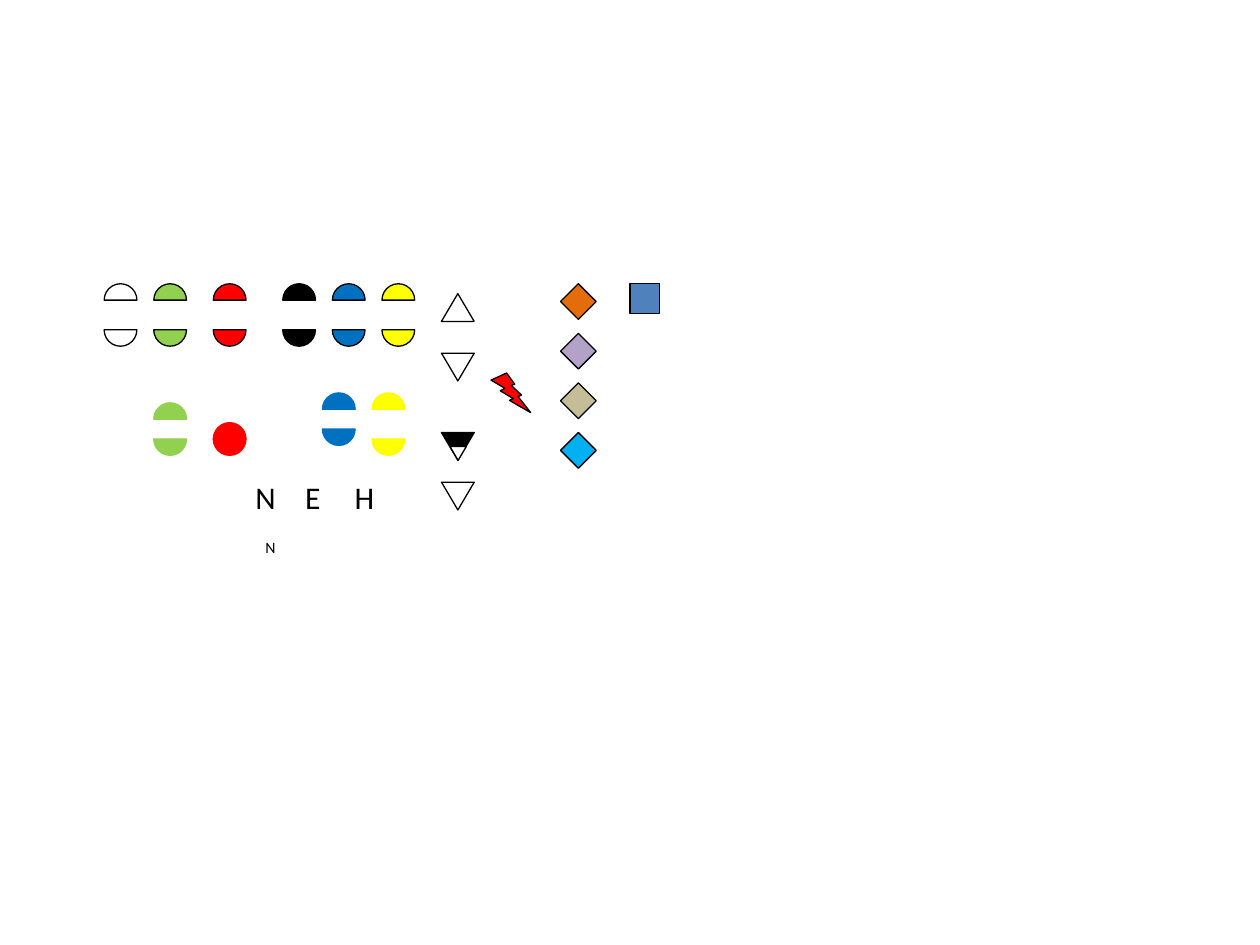
"""Build a slide of map symbols: half circles, triangles, diamonds and letters."""
from dataclasses import dataclass
from typing import Optional

from pptx import Presentation
from pptx.dml.color import RGBColor
from pptx.enum.shapes import MSO_SHAPE
from pptx.enum.text import MSO_AUTO_SIZE
from pptx.util import Cm, Pt

CHORD = MSO_SHAPE.CHORD
TRIANGLE = MSO_SHAPE.ISOSCELES_TRIANGLE
DIAMOND = MSO_SHAPE.DIAMOND
BOLT = MSO_SHAPE.LIGHTNING_BOLT
SQUARE = MSO_SHAPE.RECTANGLE
FIT_SHAPE = MSO_AUTO_SIZE.SHAPE_TO_FIT_TEXT

COLOURS = {
    "black": "000000", "white": "FFFFFF", "green": "92D050", "red": "FF0000",
    "blue": "0070C0", "yellow": "FFFF00", "orange": "E46C0A", "purple": "B3A2C7",
    "tan": "C4BD97", "cyan": "00B0F0", "steel": "4F81BD",
}
LINE_WIDTH = Pt(0.75)
HALF_CIRCLE_ANGLES = (0.0, 108.0)
CIRCLE_SIZE = 0.66
TOP = 5.72
DIAMOND_PITCH = 1.0


@dataclass
class Symbol:
    """A preset shape with its place and size in centimetres."""
    kind: int
    left: float
    top: float
    width: float
    height: float
    fill: Optional[str] = None
    line: str = "black"
    rotation: float = 0


@dataclass
class HalfPair:
    """An upper and a lower half circle of one colour."""
    left: float
    upper_top: float
    lower_top: float
    fill: Optional[str]
    line: str = "black"


@dataclass
class Letter:
    """A single letter in a text box."""
    text: str
    left: float
    top: float
    width: float
    height: float
    size: float = 18


OUTLINED_COLUMNS = {2.1: None, 3.1: "green", 4.3: "red", 5.7: "black", 6.7: "blue", 7.7: "yellow"}
HALF_PAIRS = [HalfPair(left, TOP, 6.32, fill) for left, fill in OUTLINED_COLUMNS.items()] + [
    HalfPair(3.1, 8.12, 8.52, "green", "green"),
    HalfPair(4.3, 8.52, 8.52, "red", "red"),
    HalfPair(6.5, 7.92, 8.32, "blue", "blue"),
    HalfPair(7.5, 7.92, 8.52, "yellow", "yellow"),
]
SYMBOLS = [
    Symbol(TRIANGLE, 8.9, 5.92, 0.66, 0.56),
    Symbol(TRIANGLE, 8.9, 7.12, 0.66, 0.56, rotation=180),
    Symbol(TRIANGLE, 8.9, 8.72, 0.66, 0.56, "black", rotation=180),
    Symbol(TRIANGLE, 9.07, 9.0, 0.33, 0.28, "white", rotation=180),
    Symbol(TRIANGLE, 8.9, 9.72, 0.66, 0.56, rotation=180),
    Symbol(BOLT, 9.9, 7.52, 0.8, 0.8, "red"),
    Symbol(SQUARE, 12.7, TOP, 0.6, 0.6, "steel"),
] + [
    Symbol(DIAMOND, 11.3, TOP + row * DIAMOND_PITCH, 0.72, 0.72, fill)
    for row, fill in enumerate(("orange", "purple", "tan", "cyan"))
]
LETTERS = [
    Letter("N", 4.9, 9.52, 0.92, 1.02),
    Letter("E", 5.9, 9.52, 0.82, 1.02),
    Letter("H", 6.9, 9.52, 0.92, 1.02),
    Letter("N", 5.1, 10.72, 0.7, 0.63, 9),
]


def colour(name: str) -> RGBColor:
    """Return the named colour."""
    return RGBColor.from_string(COLOURS[name])


def set_attributes(target: object, values: dict) -> None:
    """Set each attribute of the target from a dict of format values."""
    for name, value in values.items():
        setattr(target, name, value)


def draw_symbol(slide, symbol: Symbol) -> None:
    """Draw one preset shape."""
    box = map(Cm, (symbol.left, symbol.top, symbol.width, symbol.height))
    shape = slide.shapes.add_shape(symbol.kind, *box)
    shape.shadow.inherit = False
    shape.rotation = symbol.rotation
    if symbol.kind == CHORD:
        for index, angle in enumerate(HALF_CIRCLE_ANGLES):
            shape.adjustments[index] = angle
    if symbol.fill:
        shape.fill.solid()
        shape.fill.fore_color.rgb = colour(symbol.fill)
    else:
        shape.fill.background()
    shape.line.color.rgb = colour(symbol.line)
    shape.line.width = LINE_WIDTH


def draw_half_pair(slide, pair: HalfPair) -> None:
    """Draw the lower half circle and the turned upper one."""
    for top, rotation in ((pair.lower_top, 0), (pair.upper_top, 180)):
        draw_symbol(slide, Symbol(CHORD, pair.left, top, CIRCLE_SIZE, CIRCLE_SIZE,
                                  pair.fill, pair.line, rotation))


def draw_letter(slide, letter: Letter) -> None:
    """Draw one letter in an unwrapped text box."""
    box = map(Cm, (letter.left, letter.top, letter.width, letter.height))
    frame = slide.shapes.add_textbox(*box).text_frame
    set_attributes(frame, {"word_wrap": False, "auto_size": FIT_SHAPE})
    run = frame.paragraphs[0].add_run()
    run.text = letter.text
    set_attributes(run.font, {"name": "Calibri", "size": Pt(letter.size)})
    run.font.color.rgb = colour("black")


def main() -> None:
    """Create and save the presentation."""
    presentation = Presentation()
    set_attributes(presentation, {"slide_width": Cm(25.4), "slide_height": Cm(19.05)})
    slide = presentation.slides.add_slide(presentation.slide_layouts[6])
    for pair in HALF_PAIRS:
        draw_half_pair(slide, pair)
    for symbol in SYMBOLS:
        draw_symbol(slide, symbol)
    for letter in LETTERS:
        draw_letter(slide, letter)
    presentation.save("out.pptx")


if __name__ == "__main__":
    main()
